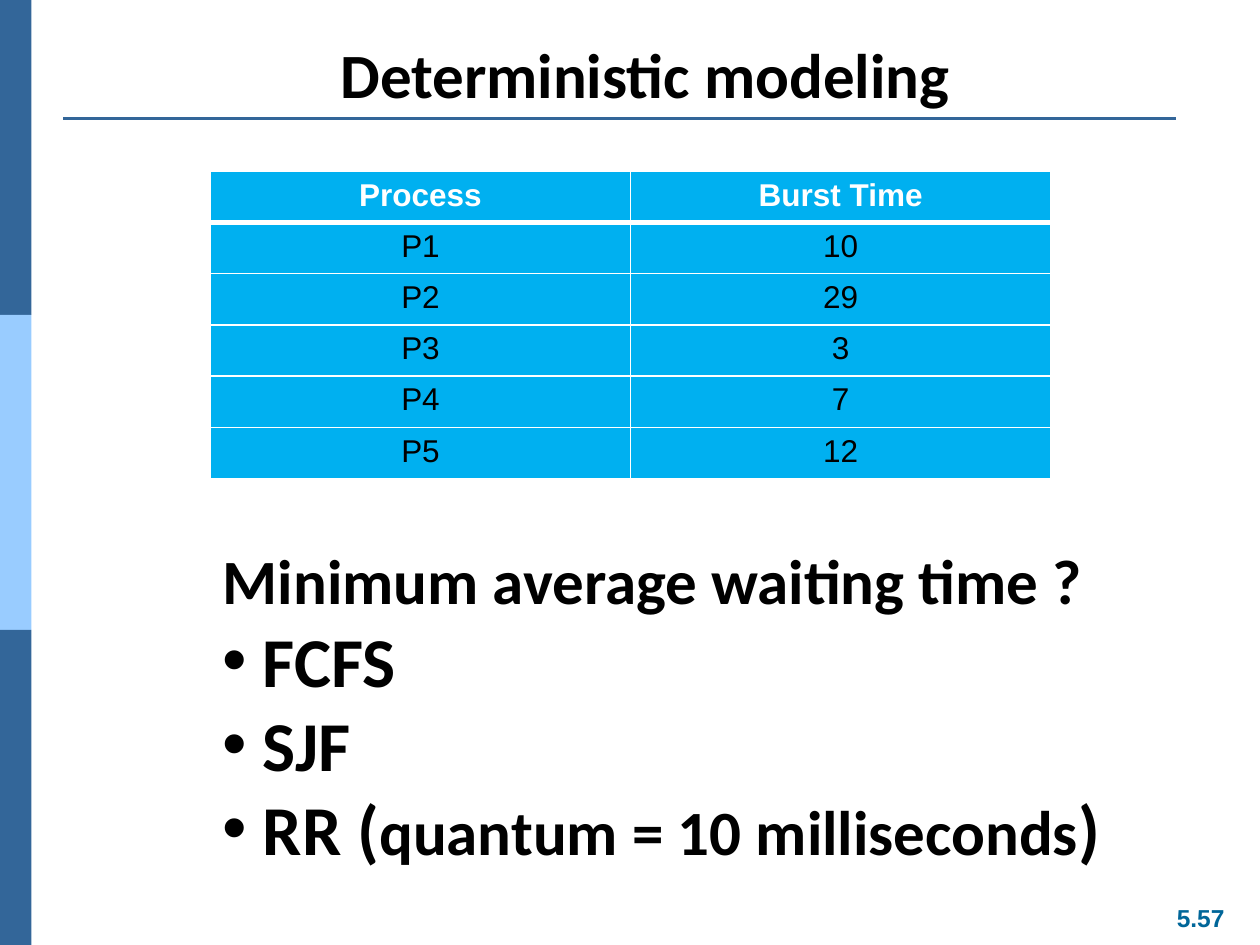
from lxml.etree import SubElement
from pptx import Presentation
from pptx.dml.color import RGBColor
from pptx.enum.shapes import MSO_CONNECTOR, MSO_SHAPE
from pptx.enum.text import MSO_ANCHOR, PP_ALIGN
from pptx.oxml.ns import qn
from pptx.util import Inches, Pt

NAVY = RGBColor(0x33, 0x66, 0x99)
PALE_BLUE = RGBColor(0x99, 0xCC, 0xFF)
TEAL = RGBColor(0x00, 0x66, 0x99)
CELL_BLUE = RGBColor(0x00, 0xB0, 0xF0)
BLACK = RGBColor(0, 0, 0)
WHITE = RGBColor(0xFF, 0xFF, 0xFF)

TITLE = "Deterministic modeling"
PAGE_NUMBER = "5.57"
BURST_TIMES = [
    ("Process", "Burst Time"),
    ("P1", "10"),
    ("P2", "29"),
    ("P3", "3"),
    ("P4", "7"),
    ("P5", "12"),
]
# Each line: bulleted or not, then (text, size) spans
QUESTION = [
    (False, [("Minimum average waiting time ?", 36)]),
    (True, [(" FCFS", 40)]),
    (True, [(" SJF", 40)]),
    (True, [(" RR (", 40), ("quantum = 10 milliseconds", 36), (")", 40)]),
]
SIDEBAR = [NAVY, PALE_BLUE, NAVY]


def add_span(para, text, size, color=BLACK, name="Calibri", bold=True):
    span = para.add_run()
    span.text = text
    style = {"size": Pt(size), "name": name, "bold": bold}
    for key, value in style.items():
        setattr(span.font, key, value)
    span.font.color.rgb = color


def add_box(page, left, top, width, height, wrap=False):
    box = page.shapes.add_textbox(*map(Inches, (left, top, width, height)))
    box.text_frame.word_wrap = wrap
    return box.text_frame


def add_bullet(para):
    props = para._p.get_or_add_pPr()
    SubElement(props, qn("a:buFont"), typeface="Arial")
    SubElement(props, qn("a:buChar"), char="•")


def set_borders(cell, widths):
    """Draw white borders; widths maps a side (L, R, T, B) to points."""
    props = cell._tc.get_or_add_tcPr()
    for index, (side, width) in enumerate(widths.items()):
        line = SubElement(props, qn(f"a:ln{side}"), w=str(Pt(width)))
        fill = SubElement(line, qn("a:solidFill"))
        SubElement(fill, qn("a:srgbClr"), val=str(WHITE))
        props.insert(index, line)


def add_burst_table(page):
    rows, cols = len(BURST_TIMES), len(BURST_TIMES[0])
    table = page.shapes.add_table(
        rows, cols, Inches(1.67), Inches(1.36), Inches(6.67), Inches(2.44)
    ).table
    for r, values in enumerate(BURST_TIMES):
        header = r == 0
        for c, value in enumerate(values):
            cell = table.cell(r, c)
            cell.fill.solid()
            cell.fill.fore_color.rgb = CELL_BLUE
            set_borders(cell, {"L": 1, "R": 1, "T": 3 if r == 1 else 1,
                               "B": 3 if header else 1})
            para = cell.text_frame.paragraphs[0]
            para.alignment = PP_ALIGN.CENTER
            add_span(para, value, 18, WHITE if header else BLACK, "Arial", header)


def add_frame(page):
    """Add the sidebar, the rule under the title and the page number."""
    for index, color in enumerate(SIDEBAR):
        bar = page.shapes.add_shape(MSO_SHAPE.RECTANGLE, 0, Inches(2.5 * index),
                                    Inches(0.25), Inches(2.5))
        bar.shadow.inherit = False
        bar.fill.solid()
        bar.fill.fore_color.rgb = color
        bar.line.fill.background()
    rule = page.shapes.add_connector(MSO_CONNECTOR.STRAIGHT, Inches(0.5), Inches(0.94),
                                     Inches(9.33), Inches(0.94))
    rule.line.color.rgb = NAVY
    rule.line.width = Pt(1.5)
    SubElement(rule._element.spPr, qn("a:effectLst"))
    para = add_box(page, 9.23, 7.12, 0.6, 0.34).paragraphs[0]
    para.alignment = PP_ALIGN.CENTER
    add_span(para, PAGE_NUMBER, 14, TEAL, "Arial")


def main():
    deck = Presentation()
    deck.slide_width, deck.slide_height = Inches(10), Inches(7.5)
    page = deck.slides.add_slide(deck.slide_layouts[6])
    add_frame(page)

    title = add_box(page, 0.62, 0.3, 9, 0.63, wrap=True)
    title.vertical_anchor = MSO_ANCHOR.BOTTOM
    title.paragraphs[0].alignment = PP_ALIGN.CENTER
    add_span(title.paragraphs[0], TITLE, 36)

    add_burst_table(page)

    question = add_box(page, 1.67, 4.25, 7.56, 2.73)
    for index, (bulleted, spans) in enumerate(QUESTION):
        para = question.add_paragraph() if index else question.paragraphs[0]
        para.alignment = PP_ALIGN.LEFT
        if bulleted:
            add_bullet(para)
        for text, size in spans:
            add_span(para, text, size)

    deck.save("out.pptx")


if __name__ == "__main__":
    main()
